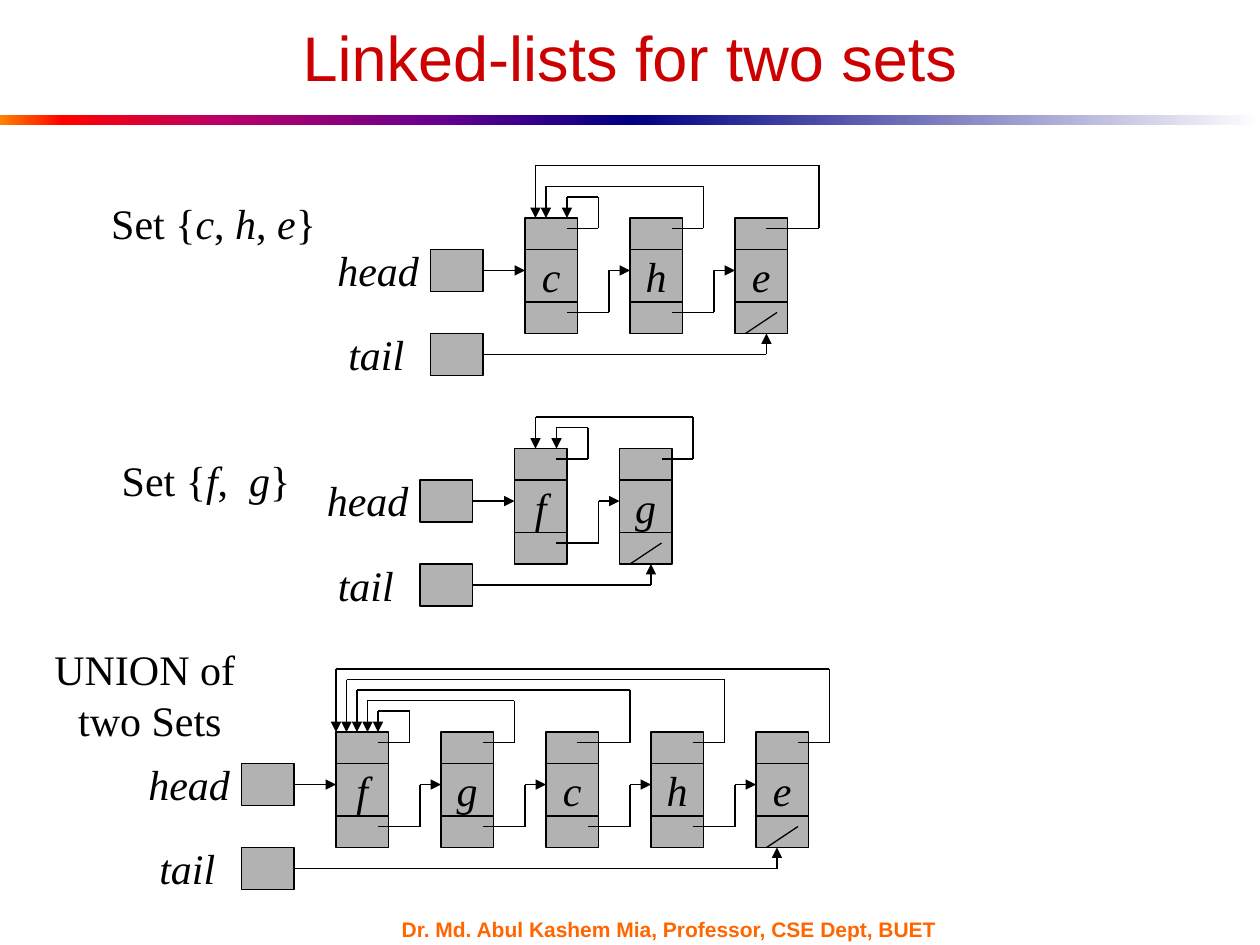
import pptx
import pptx.dml.color
import pptx.enum.shapes
import pptx.enum.text
import pptx.oxml.ns
import pptx.util
from lxml import etree
from pptx.util import Inches

COLORS = {"title": "CC0000", "footer": "FF6600", "ink": "000000", "cell": "B2B2B2"}
RAINBOW = [(0, "FF8200"), (10, "FF0000"), (35, "BA0066"), (70, "66008F"), (100, "000082")]
FADE = [(0, "000082"), (100, "FFFFFF")]
SERIF, SANS = "Times New Roman", "Arial"
UNIT = 1 / 12  # grid step of the diagrams, in inches
STEP = 10      # grid steps from one node to the next

RGB = pptx.dml.color.RGBColor.from_string
RECTANGLE = pptx.enum.shapes.MSO_SHAPE.RECTANGLE
STRAIGHT = pptx.enum.shapes.MSO_CONNECTOR.STRAIGHT
ANCHOR = pptx.enum.text.MSO_ANCHOR
ALIGN = pptx.enum.text.PP_ALIGN
qn = pptx.oxml.ns.qn

deck = pptx.Presentation()
deck.slide_width, deck.slide_height = Inches(10), Inches(7.5)
page = deck.slides.add_slide(deck.slide_layouts[6])


def write(box, paragraphs, size=24, font=SERIF, color="ink", bold=False,
          anchor=ANCHOR.TOP, align=ALIGN.CENTER, wrap=False):
    """Fill a shape with paragraphs, each a list of (text, italic) spans."""
    frame = box.text_frame
    frame.word_wrap = wrap
    frame.vertical_anchor = anchor
    for number, spans in enumerate(paragraphs):
        para = frame.add_paragraph() if number else frame.paragraphs[0]
        para.alignment = align
        for text, italic in spans:
            span = para.add_run()
            span.text = text
            span.font.name, span.font.size = font, pptx.util.Pt(size)
            span.font.bold, span.font.italic = bold, italic
            span.font.color.rgb = RGB(COLORS[color])


def draw_path(points, arrow=False):
    """Join the points with straight lines; an arrowhead may close the last one."""
    for number, (start, end) in enumerate(zip(points, points[1:]), 1):
        line = page.shapes.add_connector(STRAIGHT, *map(Inches, start + end))
        line.line.color.rgb = RGB(COLORS["ink"])
        line.line.width = pptx.util.Pt(0.75)
        if arrow and number == len(points) - 1:
            etree.SubElement(line.line._get_or_add_ln(), qn("a:tailEnd"), type="triangle")
        etree.SubElement(line._element.spPr, qn("a:effectLst"))


# Gradient rule under the title
for left, stops in ((0, RAINBOW), (5, FADE)):
    bar = page.shapes.add_shape(RECTANGLE, Inches(left), Inches(0.91), Inches(5), Inches(0.08))
    bar.shadow.inherit = False
    bar.line.fill.background()
    bar.fill.gradient()
    bar.fill.gradient_angle = 0
    stop_list = bar._element.spPr.find(".//" + qn("a:gsLst"))
    stop_list.clear()
    for position, color in stops:
        stop = etree.SubElement(stop_list, qn("a:gs"), pos=str(position * 1000))
        etree.SubElement(stop, qn("a:srgbClr"), val=color)

title = page.shapes.add_textbox(Inches(0.75), Inches(0.13), Inches(8.5), Inches(0.63))
write(title, [[("Linked-lists for two sets", False)]], 36, SANS, "title",
      anchor=ANCHOR.MIDDLE, wrap=True)
footer = page.shapes.add_textbox(Inches(3.09), Inches(7.28), Inches(4.67), Inches(0.18))
write(footer, [[("Dr. Md. Abul Kashem Mia, Professor, CSE Dept, BUET", False)]], 12, SANS,
      "footer", bold=True, anchor=ANCHOR.MIDDLE, align=ALIGN.LEFT, wrap=True)

captions = [
    (0.75, 1.52, 1.89, 0.5, [[("Set {", False), ("c", True), (", ", False), ("h", True),
                              (", ", False), ("e", True), ("}", False)]]),
    (0.86, 3.56, 1.55, 0.5, [[("Set {", False), ("f", True), (",  ", False), ("g", True),
                              ("}", False)]]),
    (0.33, 5.06, 1.72, 0.9, [[("UNION of ", False)], [("two Sets", False)]]),
]
for left, top, width, height, paragraphs in captions:
    caption = page.shapes.add_textbox(*map(Inches, (left, top, width, height)))
    write(caption, paragraphs)

# Each list: left in grid steps, top in inches, column where the tail arrow lands,
# and per node its letter and back pointer (start, right turn, rise, landing column).
linked_lists = [
    (50, 1.73, 3, [("c", 4, 7, 2, 4), ("h", 4, 7, 3, 2), ("e", 3, 8, 5, 1)]),
    (49, 3.56, 3, [("f", 4, 7, 2, 4), ("g", 4, 7, 3, 2)]),
    (32, 5.81, 2, [("f", 4, 7, 2, 4), ("g", 4, 7, 3, 3), ("c", 3, 8, 4, 2),
                   ("h", 4, 7, 5, 1), ("e", 4, 7, 6, 0)]),
]
for column, list_top, tail_column, nodes in linked_lists:
    list_left = column * UNIT
    last = (len(nodes) - 1) * STEP

    # Rectangles: the head and tail cells, then the nodes
    cells = [(-9, 3, 4, ""), (-9, 11, 4, "")]
    cells += [(index * STEP, 0, 11, node[0]) for index, node in enumerate(nodes)]
    for x, y, height, letter in cells:
        cell = page.shapes.add_shape(
            RECTANGLE, Inches(list_left + x * UNIT), Inches(list_top + y * UNIT),
            Inches(5 * UNIT), Inches(height * UNIT))
        cell.shadow.inherit = False
        cell.fill.solid()
        cell.fill.fore_color.rgb = RGB(COLORS["cell"])
        cell.line.color.rgb = RGB(COLORS["ink"])
        cell.line.width = pptx.util.Pt(0.75)
        if letter:
            write(cell, [[(letter, True)]], anchor=ANCHOR.MIDDLE)

    for name, x, y, width in (("head", -1.6, 0.16, 0.87), ("tail", -1.55, 0.83, 0.74)):
        label = page.shapes.add_textbox(Inches(list_left + x), Inches(list_top + y),
                                        Inches(width), Inches(0.5))
        write(label, [[(name, True)]])

    # Lines, in grid steps from the corner of the first node
    paths = [([(-4, 5), (0, 5)], True),
             ([(-4, 13), (last + tail_column, 13), (last + tail_column, 11)], True),
             ([(last + 1, 11), (last + 4, 9)], False)]
    for index, (letter, start, turn, rise, landing) in enumerate(nodes):
        x = index * STEP
        paths += [([(x, row), (x + 5, row)], False) for row in (3, 8)]
        paths.append(([(x + start, 1), (x + turn, 1), (x + turn, -rise),
                       (landing, -rise), (landing, 0)], True))
        if x < last:
            paths.append(([(x + 4, 9), (x + 8, 9), (x + 8, 5), (x + STEP, 5)], True))
    for points, arrow in paths:
        draw_path([(list_left + x * UNIT, list_top + y * UNIT) for x, y in points], arrow)

deck.save("out.pptx")
